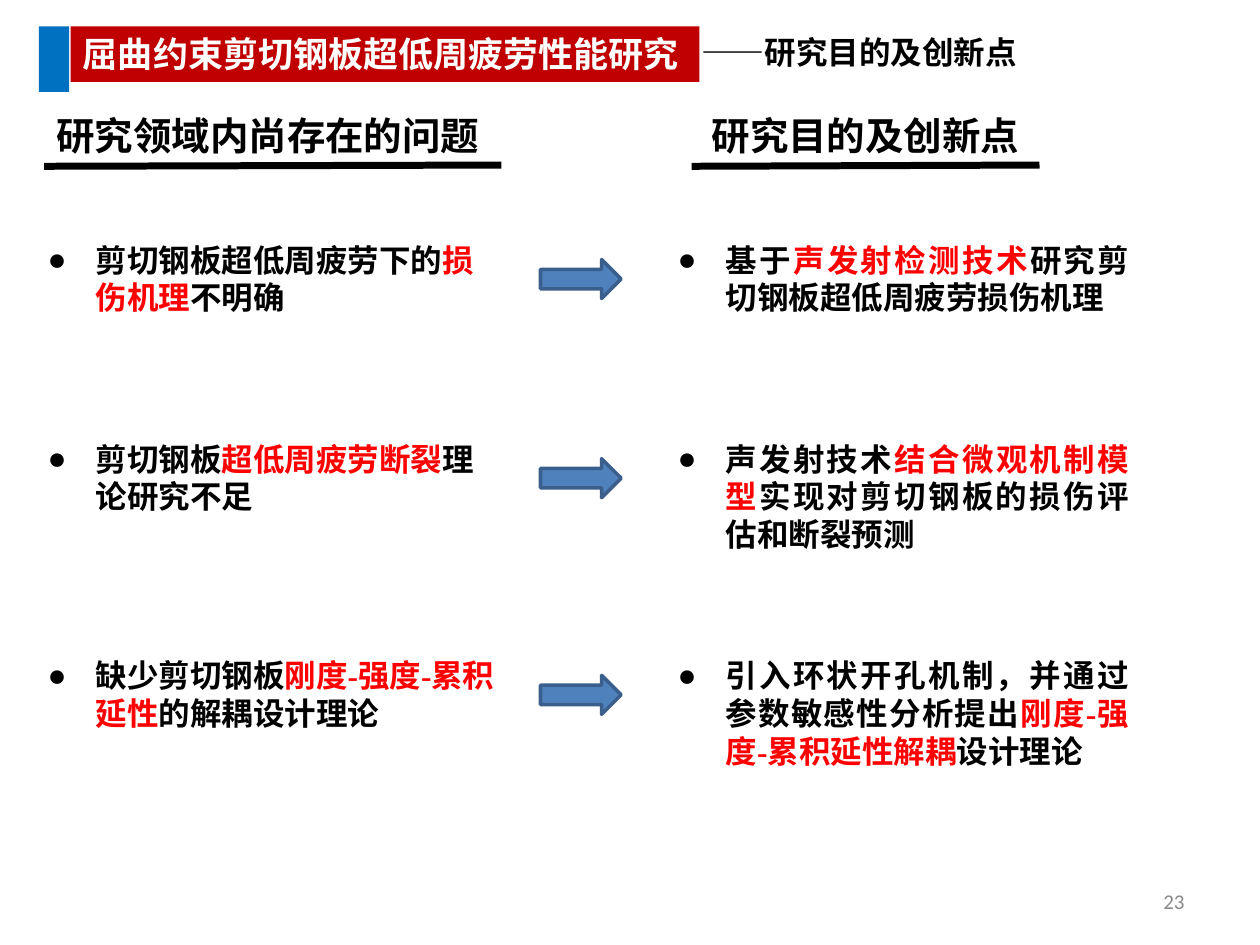
from lxml import etree
from pptx import Presentation
from pptx.dml.color import RGBColor
from pptx.enum.shapes import MSO_CONNECTOR as LINE, MSO_SHAPE as SHAPE
from pptx.enum.text import MSO_ANCHOR as ANCHOR, PP_ALIGN as ALIGN
from pptx.oxml.ns import qn
from pptx.util import Inches, Pt

BLACK = RGBColor(0, 0, 0)
WHITE = RGBColor(255, 255, 255)
RED = RGBColor(255, 0, 0)
CRIMSON = RGBColor(0xC0, 0, 0)
BLUE = RGBColor(0, 0x70, 0xC0)
STEEL = RGBColor(0x4F, 0x81, 0xBD)
NAVY = RGBColor(0x3A, 0x5F, 0x8C)
GRAY = RGBColor(0x89, 0x89, 0x89)
CJK = "Noto Sans CJK SC"

TITLE = "屈曲约束剪切钢板超低周疲劳性能研究"
TOPIC = "——研究目的及创新点"
PAGE = "23"
# text, left and width of the heading, start and end of its rule
HEADS = [
    ("研究领域内尚存在的问题", 0.35, 3.78, 0.35, 3.98),
    ("研究目的及创新点", 5.55, 2.69, 5.49, 8.25),
]
# top, problem, aim, height of the aim; text between * marks is red
ROWS = [
    (1.86, "剪切钢板超低周疲劳下的*损伤机理*不明确",
     "基于*声发射检测技术*研究剪切钢板超低周疲劳损伤机理", 0.71),
    (3.44, "剪切钢板*超低周疲劳断裂*理论研究不足",
     "声发射技术*结合微观机制模型*实现对剪切钢板的损伤评估和断裂预测", 1.01),
    (5.16, "缺少剪切钢板*刚度-强度-累积延性*的解耦设计理论",
     "引入环状开孔机制，并通过参数敏感性分析提出"
     "*刚度-强度-累积延性解耦*设计理论", 1.01),
]
LEFT, RIGHT, WIDTH = 0.28, 5.28, 3.78

prs = Presentation()
prs.slide_width, prs.slide_height = Inches(10), Inches(7.5)
slide = prs.slides.add_slide(prs.slide_layouts[6])
slide.background.fill.solid()
slide.background.fill.fore_color.rgb = WHITE
shapes = slide.shapes


def inches(box):
    return [Inches(v) for v in box]


def add_bullet(para):
    props = para._p.get_or_add_pPr()
    props.set("marL", str(Inches(0.38)))
    props.set("indent", str(-Inches(0.38)))
    color = etree.SubElement(props, qn("a:buClr"))
    etree.SubElement(color, qn("a:srgbClr"), val=str(BLACK))
    etree.SubElement(props, qn("a:buFont"), typeface="Arial")
    etree.SubElement(props, qn("a:buChar"), char="●")


def add_text(text, box, size=18, font=CJK, color=BLACK, bold=True,
             align=ALIGN.LEFT, anchor=ANCHOR.TOP, wrap=True, bullet=False):
    frame = shapes.add_textbox(*inches(box)).text_frame
    frame.word_wrap = wrap
    frame.vertical_anchor = anchor
    para = frame.paragraphs[0]
    para.alignment = align
    if bullet:
        add_bullet(para)
    for i, part in enumerate(text.split("*")):
        run = para.add_run()
        run.text = part
        run.font.size = Pt(size)
        run.font.bold = bold
        run.font.name = font
        run.font.color.rgb = RED if i % 2 else color
        etree.SubElement(run._r.get_or_add_rPr(), qn("a:ea"), typeface=CJK)


def add_block(kind, box, fill, line=None):
    block = shapes.add_shape(kind, *inches(box))
    block.shadow.inherit = False
    block.fill.solid()
    block.fill.fore_color.rgb = fill
    if line is None:
        block.line.fill.background()
    else:
        block.line.color.rgb = line
        block.line.width = Pt(2)


def add_rule(start, end):
    rule = shapes.add_connector(
        LINE.STRAIGHT, *inches((start, 1.32, end, 1.31)))
    rule.line.color.rgb = BLACK
    rule.line.width = Pt(4)
    etree.SubElement(rule._element.spPr, qn("a:effectLst"))


bar = (0.56, 0.21, 4.99, 0.44)
add_block(SHAPE.RECTANGLE, bar, CRIMSON)
add_text(TITLE, bar, size=20, color=WHITE)
add_block(SHAPE.RECTANGLE, (0.31, 0.21, 0.24, 0.52), BLUE)
add_text(TOPIC, (5.47, 0.21, 2.77, 0.4), wrap=False)
add_text(PAGE, (7.17, 6.95, 2.33, 0.4), size=12, font="Calibri", color=GRAY,
         bold=False, align=ALIGN.RIGHT, anchor=ANCHOR.MIDDLE)

for head, left, width, start, end in HEADS:
    add_text(head, (left, 0.84, width, 0.47), size=22, font="Arial")
    add_rule(start, end)

for top, issue, aim, height in ROWS:
    add_text(issue, (LEFT, top, WIDTH, 0.71), font="Times New Roman",
             bullet=True)
    add_block(SHAPE.RIGHT_ARROW, (4.29, top + 0.2, 0.64, 0.31), STEEL, NAVY)
    add_text(aim, (RIGHT, top, WIDTH, height), font="Times New Roman",
             align=ALIGN.JUSTIFY, bullet=True)

prs.save("out.pptx")
